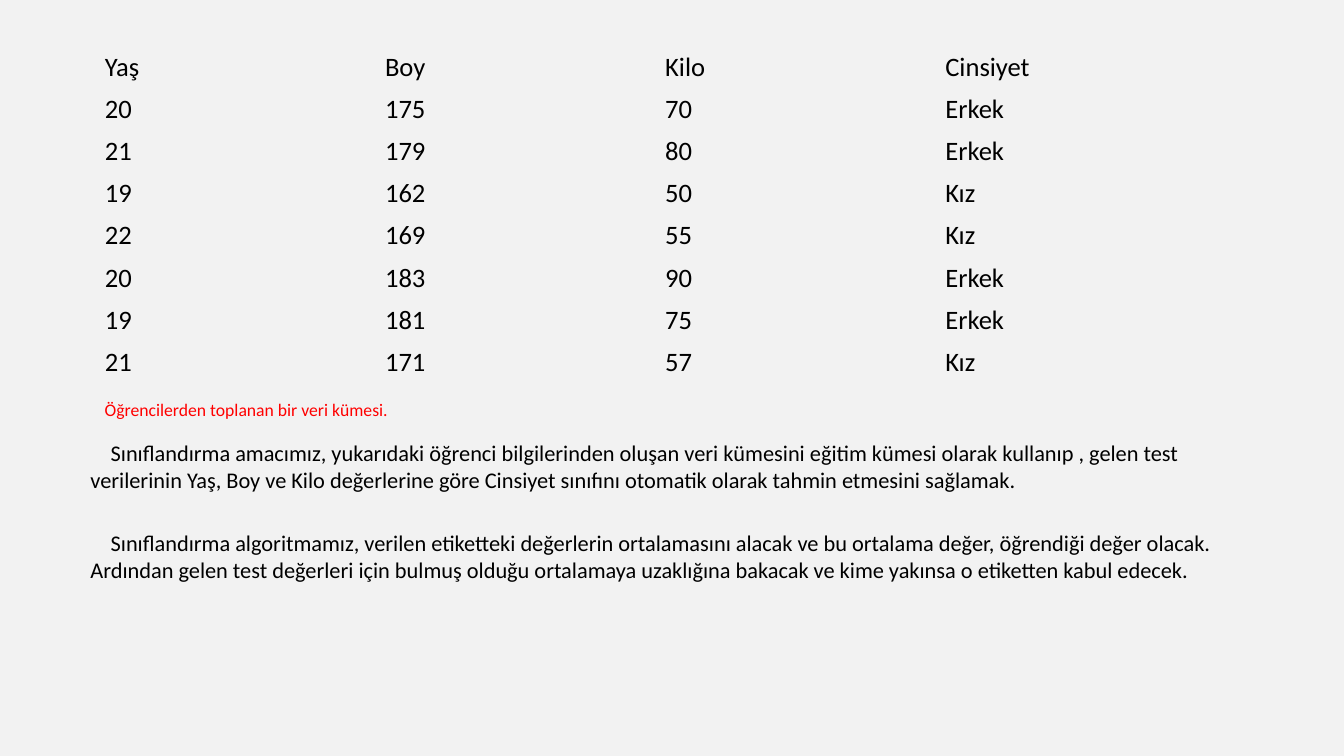
from pptx import Presentation
from pptx.dml.color import RGBColor
from pptx.enum import text
from pptx.util import Cm, Pt

STUDENTS = [
    ("Yaş", "Boy", "Kilo", "Cinsiyet"),
    ("20", "175", "70", "Erkek"),
    ("21", "179", "80", "Erkek"),
    ("19", "162", "50", "Kız"),
    ("22", "169", "55", "Kız"),
    ("20", "183", "90", "Erkek"),
    ("19", "181", "75", "Erkek"),
    ("21", "171", "57", "Kız"),
]
CAPTION = "Öğrencilerden toplanan bir veri kümesi."
EXPLANATIONS = [
    "Sınıflandırma amacımız, yukarıdaki öğrenci bilgilerinden oluşan veri kümesini "
    "eğitim kümesi olarak kullanıp , gelen test verilerinin Yaş, Boy ve Kilo "
    "değerlerine göre Cinsiyet sınıfını otomatik olarak tahmin etmesini sağlamak.",
    "Sınıflandırma algoritmamız, verilen etiketteki değerlerin ortalamasını alacak "
    "ve bu ortalama değer, öğrendiği değer olacak. Ardından gelen test değerleri için "
    "bulmuş olduğu ortalamaya uzaklığına bakacak ve kime yakınsa o etiketten kabul edecek.",
]
COLORS = {"background": "F2F2F2", "text": "000000", "caption": "FF0000"}
FONT = "Calibri"
PLAIN_TABLE_STYLE = "{2D5ABB26-0587-4C30-8999-92F81FD0307C}"
LEFT, TABLE_TOP = 2.39, 1.17
COLUMN_WIDTH, ROW_HEIGHT = 7.06, 1.06


def write(paragraph, words, size, color="text"):
    run = paragraph.add_run()
    run.text = words
    run.font.name = FONT
    run.font.size = Pt(size)
    run.font.color.rgb = RGBColor.from_string(COLORS[color])


def add_text_frame(slide, left, top, width, height, anchor):
    box = slide.shapes.add_textbox(Cm(left), Cm(top), Cm(width), Cm(height))
    frame = box.text_frame
    frame.word_wrap = True
    frame.vertical_anchor = anchor
    return frame


def add_student_table(slide):
    rows, columns = len(STUDENTS), len(STUDENTS[0])
    table = slide.shapes.add_table(
        rows, columns, Cm(LEFT), Cm(TABLE_TOP),
        Cm(columns * COLUMN_WIDTH), Cm(rows * ROW_HEIGHT),
    ).table
    table.first_row = False
    table.horz_banding = False
    table._tbl.tblPr[0].text = PLAIN_TABLE_STYLE
    for row, values in enumerate(STUDENTS):
        for column, value in enumerate(values):
            cell = table.cell(row, column)
            cell.fill.background()
            write(cell.text_frame.paragraphs[0], value, 19)


def main():
    presentation = Presentation()
    presentation.slide_width = Cm(33.87)
    presentation.slide_height = Cm(19.05)
    slide = presentation.slides.add_slide(presentation.slide_layouts[6])
    fill = slide.background.fill
    fill.solid()
    fill.fore_color.rgb = RGBColor.from_string(COLORS["background"])

    caption = add_text_frame(slide, LEFT, 9.91, 28.58, 0.79, text.MSO_ANCHOR.BOTTOM)
    write(caption.paragraphs[0], CAPTION, 12.6, "caption")

    body = add_text_frame(slide, 2.03, 10.95, 29.51, 6.05, text.MSO_ANCHOR.TOP)
    for index, explanation in enumerate(EXPLANATIONS):
        paragraph = body.add_paragraph() if index else body.paragraphs[0]
        if index:
            paragraph.space_before = Pt(25.5)
        paragraph._p.get_or_add_pPr().set("indent", str(Cm(0.51)))
        write(paragraph, explanation, 16)

    add_student_table(slide)
    presentation.save("out.pptx")


if __name__ == "__main__":
    main()
